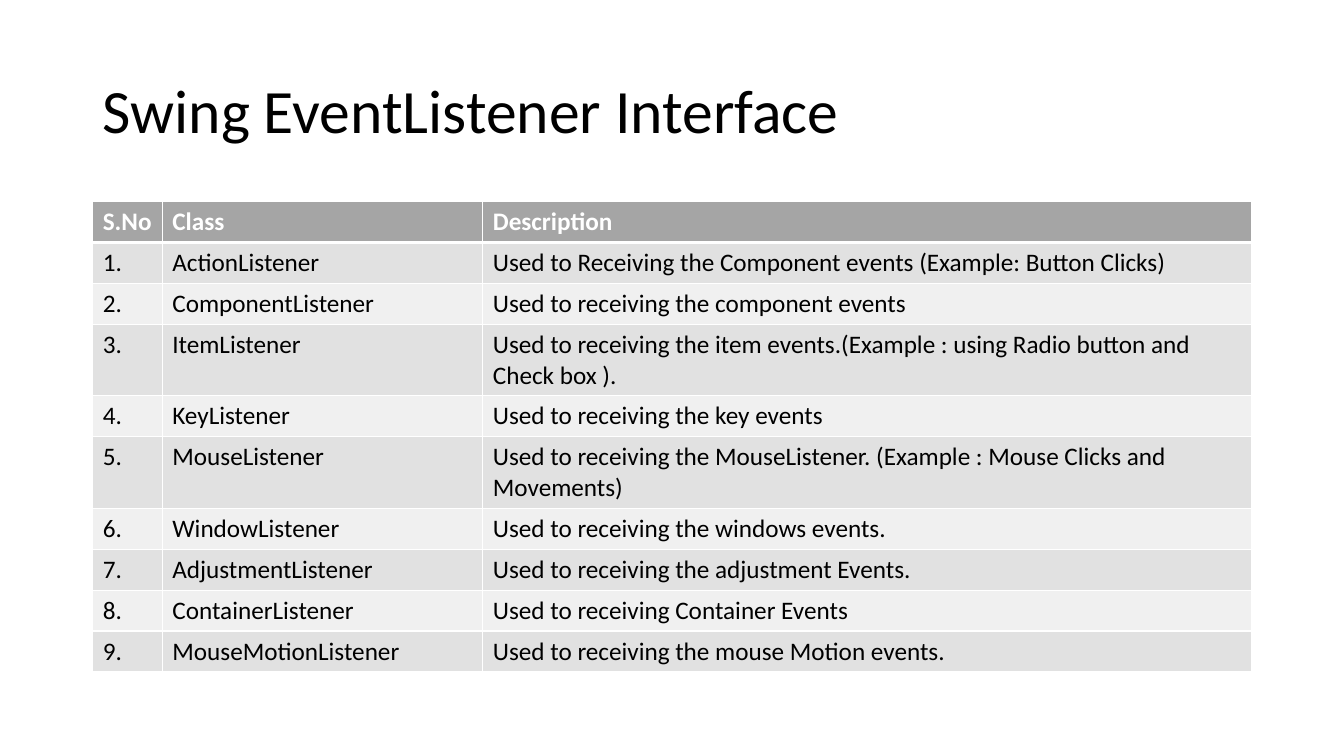
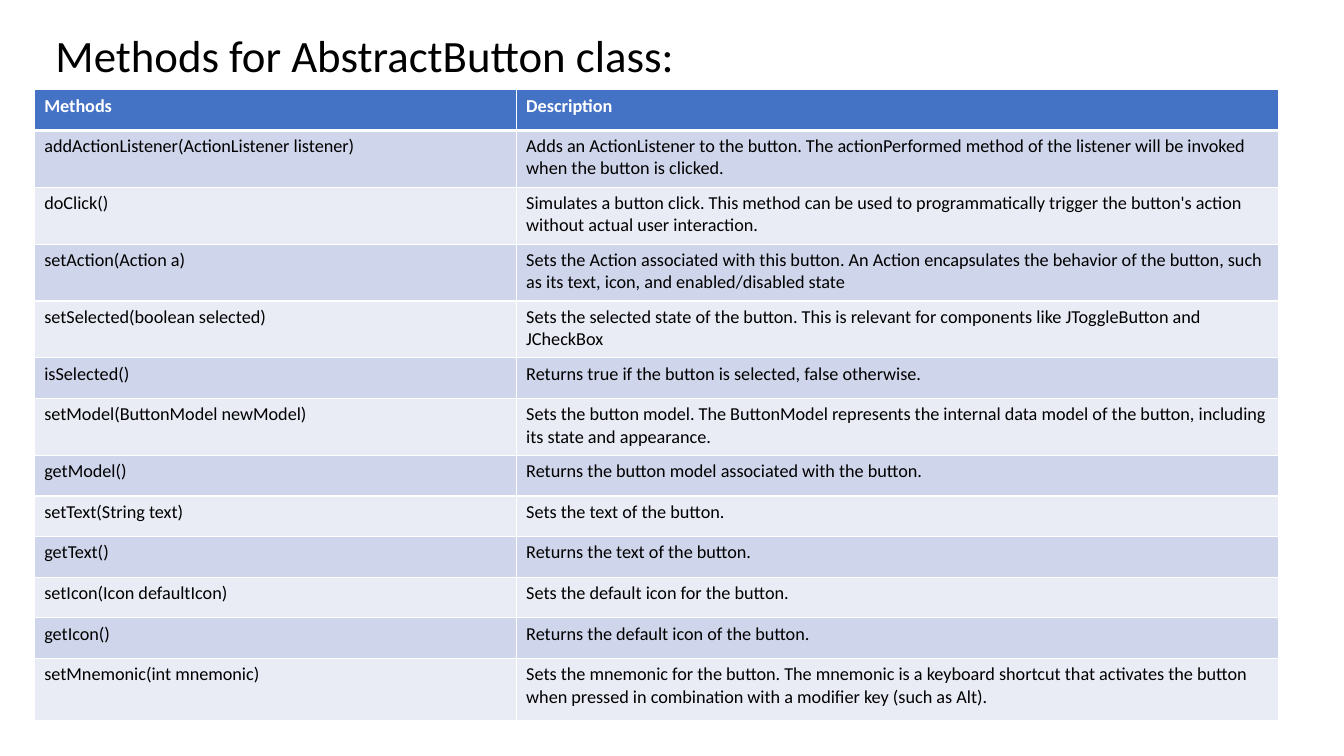
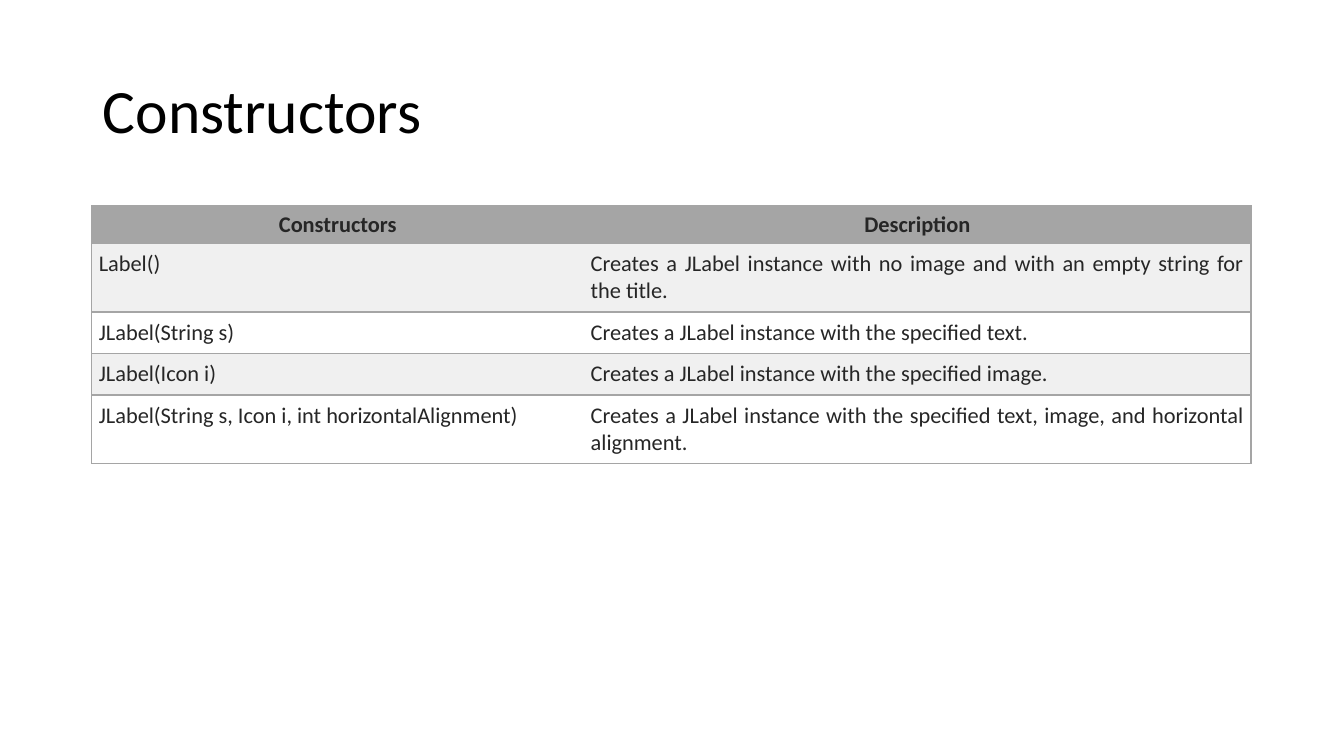
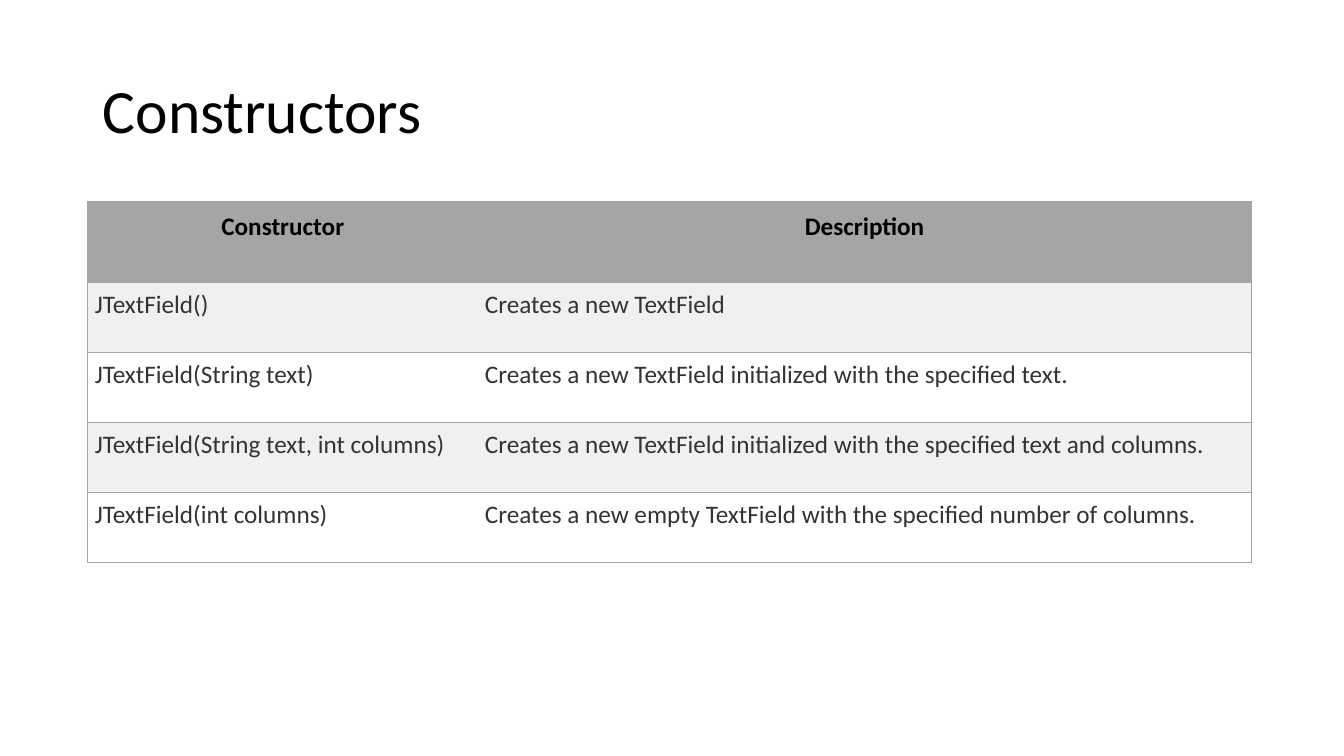
from pptx import Presentation
from pptx.dml.color import RGBColor as Color
from pptx.enum.text import MSO_ANCHOR as Anchor, MSO_AUTO_SIZE as Fit, PP_ALIGN as Align
from pptx.oxml.ns import qn
from pptx.util import Inches, Pt
from lxml.etree import SubElement as Sub, Element

WIDE, HIGH = Inches(13.33), Inches(7.5)
FONT = "Calibri"
HUES = {
    "black": "000000", "white": "FFFFFF", "ink": "262626", "dark": "333333",
    "gray": "A5A5A5", "mid": "E1E1E1", "pale": "F0F0F0",
    "blue": "4472C4", "sky": "CFD5EA", "ice": "E9EBF5",
}
HEAD = (6.9, 5.33, 86.25, 19.33)
SLIM = (0.1, 0.05)
EVEN = (0.07, 0.07)

GRAY = dict(top="gray", bands=("mid", "pale"), inks=("white", "black"), size=18,
            aligns=(Align.LEFT, Align.LEFT), pads=(SLIM, SLIM), grid=True)
BLUE = dict(GRAY, top="blue", bands=("sky", "ice"), size=13)
LINED = dict(top="gray", bands=("pale", "white"), inks=("ink", "ink"), size=16,
             aligns=(Align.CENTER, Align.JUSTIFY), pads=(SLIM, EVEN), grid=False)
ROOMY = dict(LINED, inks=("black", "dark"), size=18, pads=((0.1, 0.1), EVEN))

EVENTS = [
    ("S.No", "Class", "Description"),
    ("1.", "ActionListener", "Used to Receiving the Component events (Example: Button Clicks)"),
    ("2.", "ComponentListener", "Used to receiving the component events"),
    ("3.", "ItemListener", "Used to receiving the item events.(Example : using Radio button and Check box )."),
    ("4.", "KeyListener", "Used to receiving the key events"),
    ("5.", "MouseListener", "Used to receiving the MouseListener. (Example : Mouse Clicks and Movements)"),
    ("6.", "WindowListener", "Used to receiving the windows events."),
    ("7.", "AdjustmentListener", "Used to receiving the adjustment Events."),
    ("8.", "ContainerListener", "Used to receiving Container Events"),
    ("9.", "MouseMotionListener", "Used to receiving the mouse Motion events."),
]
METHODS = [
    ("Methods", "Description"),
    ("addActionListener(ActionListener listener)", "Adds an ActionListener to the button. The actionPerformed method of the listener will be invoked when the button is clicked."),
    ("doClick()", "Simulates a button click. This method can be used to programmatically trigger the button's action without actual user interaction."),
    ("setAction(Action a)", "Sets the Action associated with this button. An Action encapsulates the behavior of the button, such as its text, icon, and enabled/disabled state"),
    ("setSelected(boolean selected)", "Sets the selected state of the button. This is relevant for components like JToggleButton and JCheckBox"),
    ("isSelected()", "Returns true if the button is selected, false otherwise."),
    ("setModel(ButtonModel newModel)", "Sets the button model. The ButtonModel represents the internal data model of the button, including its state and appearance."),
    ("getModel()", "Returns the button model associated with the button."),
    ("setText(String text)", "Sets the text of the button."),
    ("getText()", "Returns the text of the button."),
    ("setIcon(Icon defaultIcon)", "Sets the default icon for the button."),
    ("getIcon()", "Returns the default icon of the button."),
    ("setMnemonic(int mnemonic)", "Sets the mnemonic for the button. The mnemonic is a keyboard shortcut that activates the button when pressed in combination with a modifier key (such as Alt)."),
]
LABELS = [
    ("Constructors", "Description"),
    ("Label()", "Creates a JLabel instance with no image and with an empty string for the title."),
    ("JLabel(String s)", "Creates a JLabel instance with the specified text."),
    ("JLabel(Icon i)", "Creates a JLabel instance with the specified image."),
    ("JLabel(String s, Icon i, int horizontalAlignment)", "Creates a JLabel instance with the specified text, image, and horizontal alignment."),
]
FIELDS = [
    ("Constructor", "Description"),
    ("JTextField()", "Creates a new TextField"),
    ("JTextField(String text)", "Creates a new TextField initialized with the specified text."),
    ("JTextField(String text, int columns)", "Creates a new TextField initialized with the specified text and columns."),
    ("JTextField(int columns)", "Creates a new empty TextField with the specified number of columns."),
]


def place(box):
    x, y, w, h = box
    return [int(n) for n in (WIDE * x / 100, HIGH * y / 100, WIDE * w / 100, HIGH * h / 100)]


def write(para, text, size, hue, align, bold=False):
    para.alignment = align
    run = para.add_run()
    run.text = text
    font = run.font
    font.name, font.size, font.bold = FONT, Pt(size), bold
    font.color.rgb = Color.from_string(HUES[hue])


def title(slide, text, box, size):
    shape = slide.shapes.title
    shape.left, shape.top, shape.width, shape.height = place(box)
    frame = shape.text_frame
    frame.word_wrap, frame.auto_size = True, Fit.NONE
    frame.vertical_anchor = Anchor.MIDDLE
    para = frame.paragraphs[0]
    para.line_spacing = 0.9
    write(para, text, size, "black", Align.LEFT)


def edge(cell, sides):
    props = cell._tc.get_or_add_tcPr()
    for spot, (side, (hue, width)) in enumerate(sides.items()):
        line = Element(qn("a:ln" + side), w=str(Pt(width)))
        if hue:
            fill = Sub(line, qn("a:solidFill"))
            Sub(fill, qn("a:srgbClr"), val=HUES[hue])
        else:
            Sub(line, qn("a:noFill"))
        props.insert(spot, line)


def sides(look, row, col, last):
    if look["grid"]:
        thin, thick = ("white", 1), ("white", 3)
        return dict(L=thin, R=thin, T=thick if row == 1 else thin, B=thin if row else thick)
    line, none = ("gray", 1), (None, 1)
    return dict(L=none if col else line, R=line if col == last else none, T=line, B=line)


def split(parts, shares, total, name):
    for part, share in zip(parts, shares):
        setattr(part, name, int(total * share / sum(shares)))


def table(slide, data, box, cols, rows, look):
    x, y, w, h = place(box)
    grid = slide.shapes.add_table(len(data), len(cols), x, y, w, h).table
    grid.horz_banding = False
    split(grid.columns, cols, w, "width")
    split(grid.rows, rows, h, "height")
    for r, line in enumerate(data):
        kind = min(r, 1)
        wide, tall = look["pads"][kind]
        hue = look["bands"][(r - 1) % 2] if r else look["top"]
        for c, text in enumerate(line):
            cell = grid.cell(r, c)
            cell.fill.solid()
            cell.fill.fore_color.rgb = Color.from_string(HUES[hue])
            cell.margin_left = cell.margin_right = Inches(wide)
            cell.margin_top = cell.margin_bottom = Inches(tall)
            cell.vertical_anchor = Anchor.TOP
            write(cell.text_frame.paragraphs[0], text, look["size"],
                  look["inks"][kind], look["aligns"][kind], not r)
            edge(cell, sides(look, r, c, len(cols) - 1))


def page(deck, text, data, box, cols, rows, look, head=HEAD, size=44):
    slide = deck.slides.add_slide(deck.slide_layouts[5])
    title(slide, text, head, size)
    table(slide, data, box, cols, rows, look)


def main():
    deck = Presentation()
    deck.slide_width, deck.slide_height = WIDE, HIGH
    page(deck, "Swing EventListener Interface", EVENTS, (6.9, 26.67, 86.25, 61.87),
         (0.69, 3.18, 7.63), (4, 4, 4, 7, 4, 7, 4, 4, 4, 4), GRAY)
    page(deck, "Methods for AbstractButton class:", METHODS, (2.55, 11.87, 92.57, 83.47),
         (4.78, 7.56), [0.4] + [0.56] * 4 + [0.4, 0.56] + [0.4] * 5 + [0.61], BLUE,
         (3.38, 3.47, 86.25, 8.4), 32)
    page(deck, "Constructors", LABELS, (6.83, 27.2, 86.25, 33.6),
         (4.88, 6.62), (0.36, 0.67, 0.41, 0.41, 0.67), LINED)
    page(deck, "Constructors", FIELDS, (6.53, 26.67, 86.57, 47.73),
         (3.87, 7.67), [0.8] + [0.69] * 4, ROOMY)
    deck.save("out.pptx")


if __name__ == "__main__":
    main()
